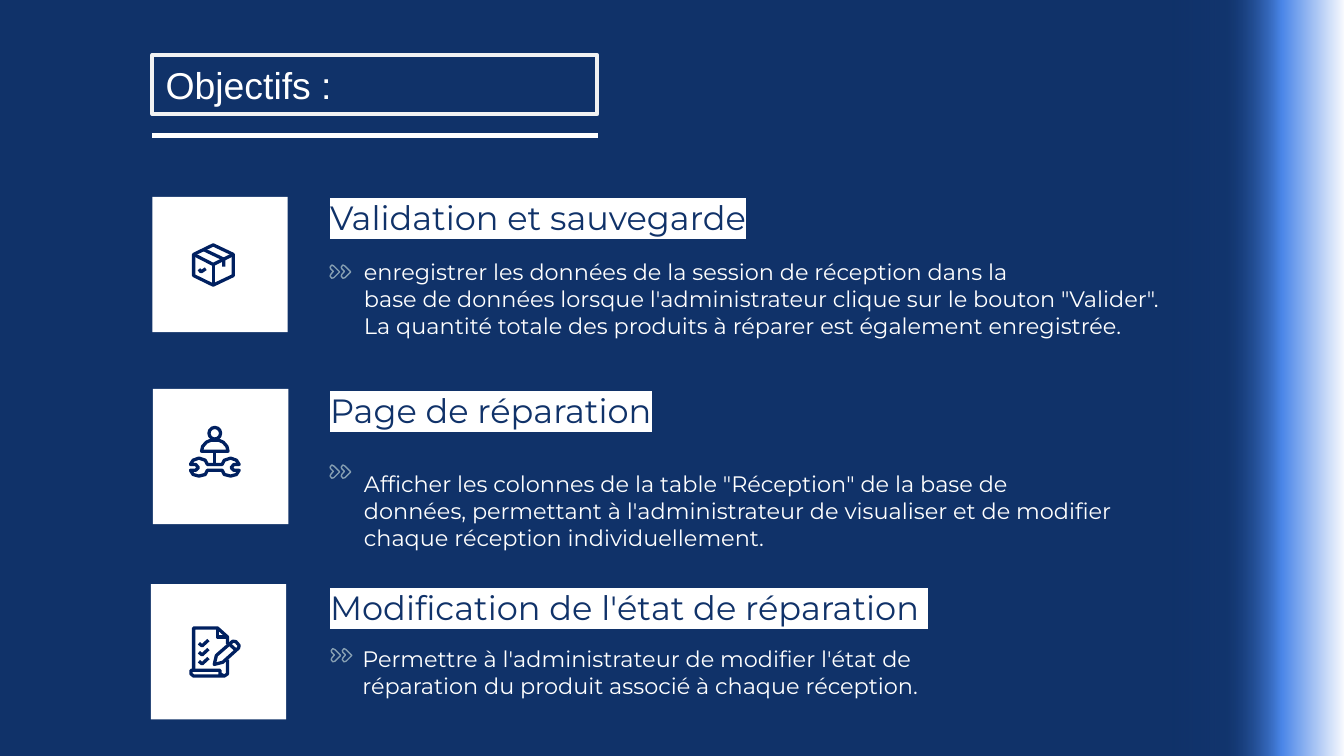
import pptx
import pptx.util
import pptx.dml.color
import pptx.enum.shapes
import pptx.enum.text
import pptx.oxml.ns
from lxml import etree

Cm, Pt = pptx.util.Cm, pptx.util.Pt
qn = pptx.oxml.ns.qn
RECT = pptx.enum.shapes.MSO_SHAPE.RECTANGLE
MIDDLE = pptx.enum.text.MSO_ANCHOR.MIDDLE
NAVY, ICON, WHITE = "103269", "002060", "FFFFFF"


def rgb(color):
    return pptx.dml.color.RGBColor.from_string(color)


def outline(left, top, points, color=ICON, width=1.75, close=False):
    """Draw an unfilled polyline; points are hundredths of a cm from left, top."""
    pts = [(left * 100 + x, top * 100 + y) for x, y in points]
    fb = s.shapes.build_freeform(*pts[0], scale=Cm(0.01))
    fb.add_line_segments(pts[1:], close=close)
    sp = fb.convert_to_shape()
    sp.shadow.inherit = False
    sp.fill.background()
    sp.line.color.rgb = rgb(color)
    sp.line.width = Pt(width)


prs = pptx.Presentation()
prs.slide_width, prs.slide_height = Cm(25.4), Cm(14.29)
s = prs.slides.add_slide(prs.slide_layouts[6])
s.background.fill.solid()
s.background.fill.fore_color.rgb = rgb(NAVY)

# Glow along the right edge
sp = s.shapes.add_shape(RECT, Cm(16.61), Cm(5.49), Cm(14.35), Cm(3.3))
sp.rotation = 90
sp.shadow.inherit = False
sp.line.fill.background()
sp.fill.gradient()
sp.fill.gradient_angle = 90
stops = sp._element.spPr.find(".//" + qn("a:gsLst"))
for gs in list(stops):
    stops.remove(gs)
for pos, color, alpha in [(0, "1C4587", 0), (32, "1C4587", 15),
                          (63, "4A86E8", 100), (100, WHITE, 100)]:
    gs = etree.SubElement(stops, qn("a:gs"), pos=str(pos * 1000))
    clr = etree.SubElement(gs, qn("a:srgbClr"), val=color)
    etree.SubElement(clr, qn("a:alpha"), val=str(alpha * 1000))

# Title frame and rule
sp = s.shapes.add_shape(RECT, Cm(2.88), Cm(1.04), Cm(8.41), Cm(1.12))
sp.shadow.inherit = False
sp.fill.solid()
sp.fill.fore_color.rgb = rgb(NAVY)
sp.line.color.rgb = rgb("F1F2F2")
sp.line.width = Pt(2)
tf = sp.text_frame
tf.vertical_anchor = MIDDLE
p = tf.paragraphs[0]
p.text = "Objectifs :"
p.alignment = pptx.enum.text.PP_ALIGN.LEFT
p.font.name, p.font.size = "Arial", Pt(20)
p.font.color.rgb = rgb(WHITE)

ln = s.shapes.add_connector(pptx.enum.shapes.MSO_CONNECTOR.STRAIGHT,
                            Cm(2.88), Cm(2.56), Cm(11.3), Cm(2.56))
ln.line.color.rgb = rgb(WHITE)
ln.line.width = Pt(2.25)
etree.SubElement(ln._element.spPr, qn("a:effectLst"))

# Objectives: tile left, tile top, heading top, body left, body top,
# chevron left, chevron top, heading, body
objectives = [
    (2.88, 3.72, 3.63, 6.63, 4.83, 6.23, 5.01, "Validation et sauvegarde",
     "enregistrer les données de la session de réception dans la \v"
     "base de données lorsque l'administrateur clique sur le bouton \"Valider\". "
     "La quantité totale des produits à réparer est également enregistrée."),
    (2.89, 7.35, 7.29, 6.63, 8.84, 6.23, 8.79, "Page de réparation",
     "Afficher les colonnes de la table \"Réception\" de la base de \v"
     "données, permettant à l'administrateur de visualiser et de modifier "
     "chaque réception individuellement."),
    (2.85, 11.04, 11, 6.6, 11.89, 6.25, 12.26,
     "Modification de l'état de réparation ",
     "Permettre à l'administrateur de modifier l'état de \v"
     "réparation du produit associé à chaque réception."),
]
chevron = [(4, 0), (1, 4), (2, 7), (7, 12), (2, 18), (1, 21), (4, 25),
           (8, 24), (19, 13), (8, 2)]
for (tile_x, tile_y, head_y, body_x, body_y, chev_x, chev_y,
     heading, body) in objectives:
    sp = s.shapes.add_shape(RECT, Cm(tile_x), Cm(tile_y), Cm(2.56), Cm(2.56))
    sp.shadow.inherit = False
    sp.fill.solid()
    sp.fill.fore_color.rgb = rgb(WHITE)
    sp.line.fill.background()

    for x, y, h, text, size, color in [(5.99, head_y, 0.94, heading, 18, NAVY),
                                       (body_x, body_y, 1.63, body, 12, WHITE)]:
        tf = s.shapes.add_textbox(Cm(x), Cm(y), Cm(15.65), Cm(h)).text_frame
        tf.word_wrap = True
        tf.vertical_anchor = MIDDLE
        tf.margin_left = tf.margin_right = Cm(0.25)
        tf.margin_top = tf.margin_bottom = Cm(0.25)
        p = tf.paragraphs[0]
        p.text = text
        p.font.name, p.font.size = "Montserrat", Pt(size)
        p.font.color.rgb = rgb(color)
        if text == heading:
            mark = etree.SubElement(p.runs[0].font._element, qn("a:highlight"))
            etree.SubElement(mark, qn("a:srgbClr"), val=WHITE)

    for shift in (0, 0.21):
        outline(chev_x + shift, chev_y, chevron, "869FB2", 0.75, True)

# Parcel icon
hexagon = [(40, 3), (78, 21), (78, 61), (40, 79), (3, 61), (3, 21)]
outline(3.63, 4.6, hexagon, close=True)
for points in [[(3, 21), (40, 40), (78, 21)],
               [(40, 40), (40, 79)],
               [(22, 12), (60, 30), (60, 44)],
               [(13, 49), (17, 54), (26, 48)]]:
    outline(3.63, 4.6, points)

# Technician icon: head, shoulders, pole and wrench
sp = s.shapes.add_shape(pptx.enum.shapes.MSO_SHAPE.OVAL,
                        Cm(3.95), Cm(8.08), Cm(0.22), Cm(0.22))
sp.shadow.inherit = False
sp.fill.background()
sp.line.color.rgb = rgb(ICON)
sp.line.width = Pt(1.75)
shoulder = [(25, 48), (27, 39), (34, 31), (43, 27)]
jaw = [(36, 73), (32, 65), (20, 61), (9, 65), (4, 73), (14, 73), (19, 79),
       (14, 84), (4, 84), (9, 92), (20, 95), (32, 92), (36, 84)]
for half in (shoulder, jaw):
    mirrored = [(100 - x, y) for x, y in reversed(half)]
    outline(3.56, 8.05, half + mirrored, close=True)
outline(3.56, 8.05, [(50, 48), (50, 73)])

# Checklist icon: page, fold, scroll, pencil cap, ticks and pencil
for points in [[(8, 83), (8, 3), (53, 3), (72, 20), (72, 33)],
               [(53, 3), (53, 20), (72, 20)],
               [(72, 63), (72, 90), (66, 94), (8, 94), (3, 90), (3, 83),
                (58, 83), (58, 90), (66, 94)],
               [(76, 34), (87, 44)]]:
    outline(3.58, 11.84, points)
for row in range(3):
    outline(3.58, 11.84 + row * 0.17, [(18, 32), (24, 37), (36, 26)])
outline(3.58, 11.84, [(47, 72), (51, 55), (82, 28), (88, 29), (94, 36),
                      (93, 41), (63, 68)], close=True)

prs.save("out.pptx")
